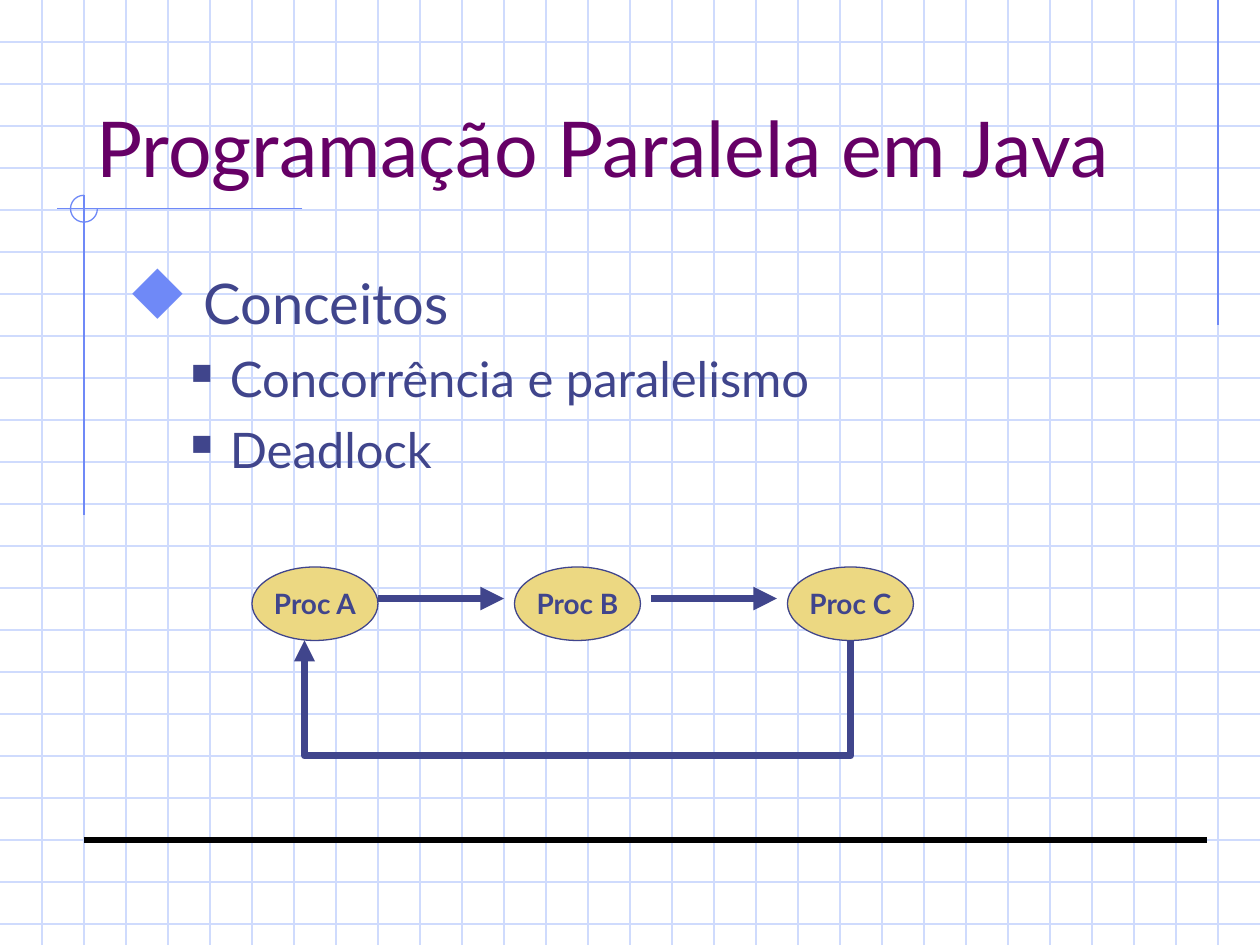
from pptx import Presentation
from pptx.dml.color import RGBColor
from pptx.enum.shapes import MSO_CONNECTOR, MSO_SHAPE
from pptx.enum.text import MSO_ANCHOR, PP_ALIGN
from pptx.oxml.ns import qn
from pptx.util import Inches, Pt
from lxml.etree import SubElement

GRID = RGBColor(0xCF, 0xDB, 0xFD)
ACCENT = RGBColor(0x6F, 0x89, 0xF7)
INK = RGBColor(0x40, 0x45, 0x8C)
PURPLE = RGBColor(0x66, 0x00, 0x66)
GOLD = RGBColor(0xEC, 0xD8, 0x82)
BLACK = RGBColor(0, 0, 0)

COLUMNS, ROWS = 30, 22.5  # grid cells of a third of an inch


def cells(count):
    return Inches(count / 3)


def set_format(target, values):
    for name, value in values.items():
        setattr(target, name, value)


class GridPage:
    font = "Lato"
    bullet_font = "Wingdings"

    def __init__(self, deck):
        self.page = deck.slides.add_slide(deck.slide_layouts[6])

    def stroke(self, shape, color, width, arrow=False):
        shape.line.color.rgb = color
        shape.line.width = Pt(width)
        if arrow:
            outline = shape._element.spPr.find(qn("a:ln"))
            SubElement(outline, qn("a:tailEnd"), type="triangle")

    def line(self, start, end, color, width=0.75, arrow=False):
        points = [cells(value) for value in (*start, *end)]
        line = self.page.shapes.add_connector(MSO_CONNECTOR.STRAIGHT, *points)
        self.stroke(line, color, width, arrow)
        SubElement(line._element.spPr, qn("a:effectLst"))

    def polyline(self, points, color, width):
        first, *rest = [(cells(x), cells(y)) for x, y in points]
        builder = self.page.shapes.build_freeform(*first)
        builder.add_line_segments(rest, close=False)
        shape = builder.convert_to_shape()
        shape.fill.background()
        shape.shadow.inherit = False
        self.stroke(shape, color, width, arrow=True)

    def shape(self, kind, area, color, fill=None):
        shape = self.page.shapes.add_shape(kind, *map(cells, area))
        shape.shadow.inherit = False
        if fill is None:
            shape.fill.background()
        else:
            shape.fill.solid()
            shape.fill.fore_color.rgb = fill
        self.stroke(shape, color, 0.75)
        return shape

    def arc(self, area, color, start, end):
        arc = self.shape(MSO_SHAPE.ARC, area, color)
        # Angles are stored in 60000ths of a degree, adjustments in 100000ths
        arc.adjustments[0], arc.adjustments[1] = start * 0.6, end * 0.6

    def node(self, area, text):
        node = self.shape(MSO_SHAPE.OVAL, area, INK, GOLD)
        set_format(node.text_frame, {"word_wrap": False,
                                     "vertical_anchor": MSO_ANCHOR.MIDDLE})
        para = node.text_frame.paragraphs[0]
        para.alignment = PP_ALIGN.CENTER
        self.span(para, text, 16, INK, bold=True)

    def span(self, para, text, size, color, bold=False):
        span = para.add_run()
        span.text = text
        set_format(span.font, {"name": self.font, "size": Pt(size), "bold": bold})
        span.font.color.rgb = color

    def text_box(self, area, anchor=MSO_ANCHOR.TOP):
        box = self.page.shapes.add_textbox(*map(cells, area))
        set_format(box.text_frame, {"word_wrap": True, "vertical_anchor": anchor})
        return box.text_frame

    def bullet(self, para, style):
        set_format(para, {"level": style["level"], "space_before": Pt(style["before"])})
        layout = para._p.get_or_add_pPr()
        layout.set("marL", str(Inches(style["margin"])))
        layout.set("indent", str(-Inches(style["hang"])))
        color = SubElement(layout, qn("a:buClr"))
        SubElement(color, qn("a:srgbClr"), val=str(style["color"]))
        SubElement(layout, qn("a:buSzPct"), val=str(style["percent"] * 1000))
        SubElement(layout, qn("a:buFont"), typeface=self.bullet_font, charset="2")
        SubElement(layout, qn("a:buChar"), char=style["mark"])


# In the symbol font "u" draws a diamond and "n" a square
TOPIC = {"level": 0, "before": 8, "margin": 0.38, "hang": 0.38,
         "color": ACCENT, "percent": 110, "mark": "u", "size": 32}
SUBTOPIC = {"level": 1, "before": 7, "margin": 0.81, "hang": 0.31,
            "color": INK, "percent": 60, "mark": "n", "size": 28}
BULLETS = [(" Conceitos", TOPIC), ("Concorrência e paralelismo", SUBTOPIC),
           ("Deadlock", SUBTOPIC)]


def main():
    deck = Presentation()
    set_format(deck, {"slide_width": cells(COLUMNS), "slide_height": cells(ROWS)})
    page = GridPage(deck)

    # Graph paper
    for row in range(1, int(ROWS) + 1):
        page.line((0, row), (COLUMNS, row), GRID)
    for column in range(1, COLUMNS):
        page.line((column, 0), (column, ROWS), GRID)

    # Corner ornaments and bottom rule
    page.line((29, 0), (29, 7.75), ACCENT)
    page.line((7.2, 4.97), (1.35, 4.97), ACCENT)
    page.line((2, 4.65), (2, 12.27), ACCENT)
    page.arc((1.68, 4.65, 0.64, 0.64), ACCENT, 0, 270)
    page.line((2, 20), (28.75, 20), BLACK, 3.75)

    # Title
    title = page.text_box((2, 1, 25.5, 3.75), MSO_ANCHOR.BOTTOM)
    page.span(title.paragraphs[0], "Programação Paralela em Java", 44, PURPLE)

    # Bulleted list
    body = page.text_box((2.75, 6.25, 25.5, 13.5))
    for index, (text, style) in enumerate(BULLETS):
        para = body.add_paragraph() if index else body.paragraphs[0]
        page.bullet(para, style)
        page.span(para, text, style["size"], INK)

    # Processes waiting on each other in a cycle
    for name, left in (("Proc A", 6), ("Proc B", 12.25), ("Proc C", 18.75)):
        page.node((left, 13.5, 3, 1.75), name)
    for left in (9, 15.5):
        page.line((left, 14.25), (left + 3, 14.25), INK, 4.5, arrow=True)
    page.polyline([(20.25, 15.25), (20.25, 18), (7.25, 18), (7.25, 15.25)], INK, 4)

    deck.save("out.pptx")


if __name__ == "__main__":
    main()
